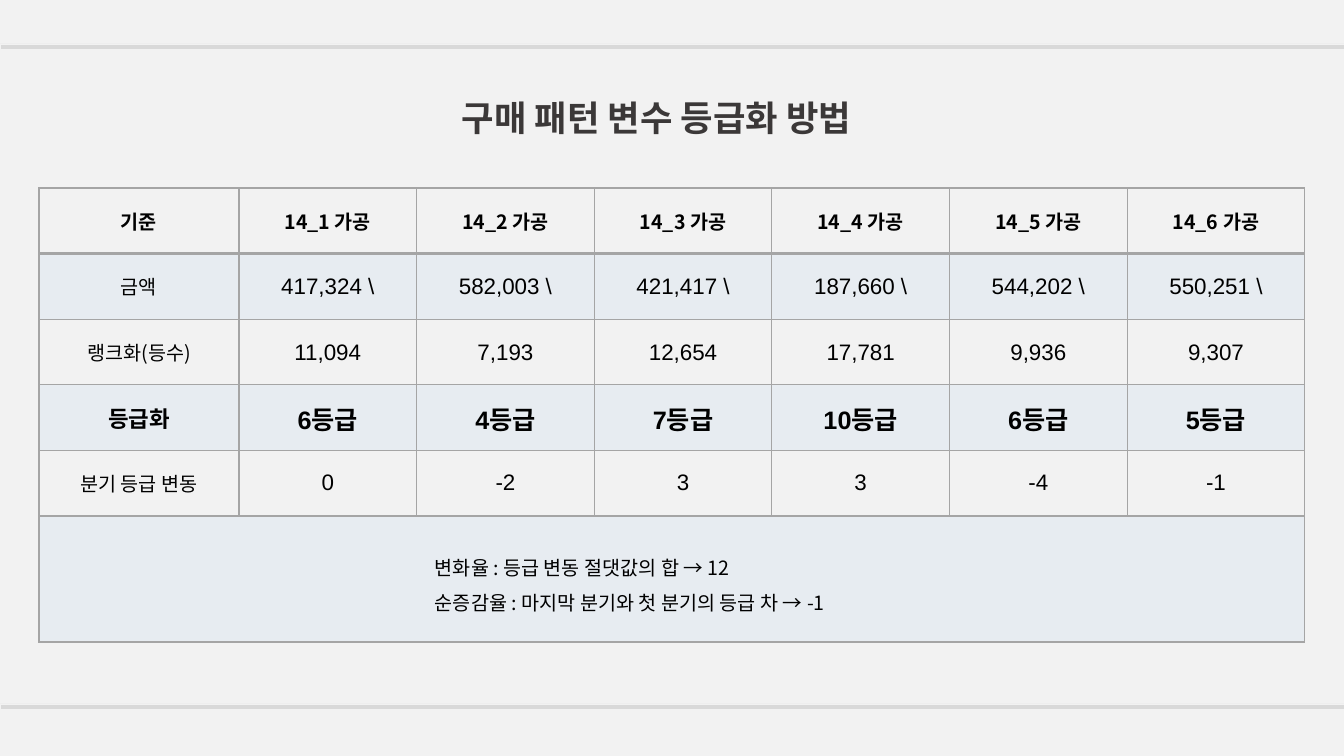
from dataclasses import dataclass

from lxml.etree import SubElement
from pptx import Presentation
from pptx.dml.color import RGBColor
from pptx.enum.dml import MSO_LINE
from pptx.enum.text import MSO_ANCHOR as Anchor, PP_ALIGN as Align
from pptx.oxml.ns import qn
from pptx.util import Emu, Pt

EMU_PER_INCH = 914400
PX_PER_INCH = 100.8
KOREAN = "Noto Sans CJK KR"
LATIN = "Arial"
COLORS = {
    "background": "F2F2F2",
    "title": "3B3838",
    "text": "000000",
    "border": "A5A5A5",
    "band": "BDD7EE",
    "rule": "D9D9D9",
}


@dataclass(frozen=True)
class Box:
    left: int
    top: int
    width: int
    height: int


@dataclass(frozen=True)
class GradeRow:
    label: str
    values: tuple[str, ...]
    label_size: int = 14
    value_size: int = 16
    value_font: str = LATIN
    bold: bool = False
    shaded: bool = False
    tight: bool = True


TITLE_BOX = Box(452, 73, 441, 94)
TABLE_BOX = Box(39, 188, 1266, 454)
NOTE_BOX = Box(425, 539, 493, 78)
RULES = (Box(0, 704, 1344, 5), Box(0, 44, 1344, 5))
LABEL_WIDTH = 200
SUMMARY_HEIGHT = 126
ROWS = (
    GradeRow("기준", tuple(f"14_{quarter} 가공" for quarter in range(1, 7)),
             value_size=14, value_font=KOREAN, bold=True, tight=False),
    GradeRow("금액", ("417,324 \\", "582,003 \\", "421,417 \\",
                    "187,660 \\", "544,202 \\", "550,251 \\"), shaded=True),
    GradeRow("랭크화(등수)", ("11,094", "7,193", "12,654", "17,781", "9,936", "9,307")),
    GradeRow("등급화", ("6등급", "4등급", "7등급", "10등급", "6등급", "5등급"),
             label_size=16, value_size=18, bold=True, shaded=True),
    GradeRow("분기 등급 변동", ("0", "-2", "3", "3", "-4", "-1"), tight=False),
)
NOTES = (
    "변화율 : 등급 변동 절댓값의 합 → 12",
    "순증감율 : 마지막 분기와 첫 분기의 등급 차 → -1",
)


def px(length: int) -> Emu:
    return Emu(round(length * EMU_PER_INCH / PX_PER_INCH))


def place(box: Box) -> tuple[Emu, ...]:
    return px(box.left), px(box.top), px(box.width), px(box.height)


def color(name: str) -> RGBColor:
    return RGBColor.from_string(COLORS[name])


def write(frame, *lines: str, size: float = 14, font: str = KOREAN, bold: bool = False,
          ink: str = "text", align=Align.LEFT, spacing: float = 1.0) -> None:
    frame.word_wrap = True
    for index, line in enumerate(lines):
        paragraph = frame.paragraphs[0] if index == 0 else frame.add_paragraph()
        paragraph.alignment = align
        paragraph.line_spacing = spacing
        run = paragraph.add_run()
        run.text = line
        run.font.size = Pt(size)
        run.font.bold = bold
        run.font.name = font
        run.font.color.rgb = color(ink)
        SubElement(run._r.get_or_add_rPr(), qn("a:ea"), typeface=KOREAN)


def add_text(slide, box: Box, *lines: str, anchor=Anchor.TOP, **style) -> None:
    frame = slide.shapes.add_textbox(*place(box)).text_frame
    frame.vertical_anchor = anchor
    write(frame, *lines, **style)


def add_rule(slide, box: Box) -> None:
    shape = slide.shapes.add_shape(1, *place(box))
    shape.shadow.inherit = False
    shape.fill.solid()
    shape.fill.fore_color.rgb = color("rule")
    shape.line.color.rgb = color("background")
    shape.line.width = Pt(0.25)
    shape.line.dash_style = MSO_LINE.ROUND_DOT


def format_cell(cell, row: int, shaded: bool) -> None:
    properties = cell._tc.get_or_add_tcPr()
    heavy_side = {0: "B", 1: "T"}.get(row)
    for side in "LRTB":
        width = Pt(2 if side == heavy_side else 1)
        line = SubElement(properties, qn(f"a:ln{side}"), w=str(width))
        fill = SubElement(line, qn("a:solidFill"))
        SubElement(fill, qn("a:srgbClr"), val=COLORS["border"])
    if shaded:
        cell.fill.solid()
        cell.fill.fore_color.rgb = color("band")
        tint = properties.find(qn("a:solidFill")).find(qn("a:srgbClr"))
        SubElement(tint, qn("a:alpha"), val="20000")
    else:
        cell.fill.background()
    cell.vertical_anchor = Anchor.MIDDLE


def fill_row(table, index: int, row: GradeRow) -> None:
    for column, text in enumerate((row.label, *row.values)):
        cell = table.cell(index, column)
        format_cell(cell, index, row.shaded)
        is_label = column == 0
        if row.tight and not is_label:
            cell.margin_left = cell.margin_right = cell.margin_top = px(1)
            cell.margin_bottom = 0
        write(cell.text_frame, text, bold=row.bold, align=Align.CENTER,
              size=row.label_size if is_label else row.value_size,
              font=KOREAN if is_label else row.value_font)


def add_grade_table(slide) -> None:
    value_count = len(ROWS[0].values)
    summary = len(ROWS)
    table = slide.shapes.add_table(summary + 1, value_count + 1, *place(TABLE_BOX)).table
    table.first_row = table.horz_banding = False
    for column in table.columns:
        column.width = Emu(px(TABLE_BOX.width - LABEL_WIDTH) // value_count)
    table.columns[0].width = px(LABEL_WIDTH)
    for table_row in table.rows:
        table_row.height = Emu(px(TABLE_BOX.height - SUMMARY_HEIGHT) // summary)
    table.rows[summary].height = px(SUMMARY_HEIGHT)
    for index, row in enumerate(ROWS):
        fill_row(table, index, row)
    for column in range(value_count + 1):
        format_cell(table.cell(summary, column), summary, True)
    table.cell(summary, 0).merge(table.cell(summary, value_count))


def main() -> None:
    presentation = Presentation()
    presentation.slide_width = px(1344)
    presentation.slide_height = px(756)
    slide = presentation.slides.add_slide(presentation.slide_layouts[6])
    slide.background.fill.solid()
    slide.background.fill.fore_color.rgb = color("background")
    add_text(slide, TITLE_BOX, "구매 패턴 변수 등급화 방법", anchor=Anchor.MIDDLE,
             size=25.2, bold=True, ink="title", spacing=0.9)
    add_grade_table(slide)
    add_text(slide, NOTE_BOX, *NOTES, spacing=1.5)
    for rule in RULES:
        add_rule(slide, rule)
    presentation.save("out.pptx")


if __name__ == "__main__":
    main()
